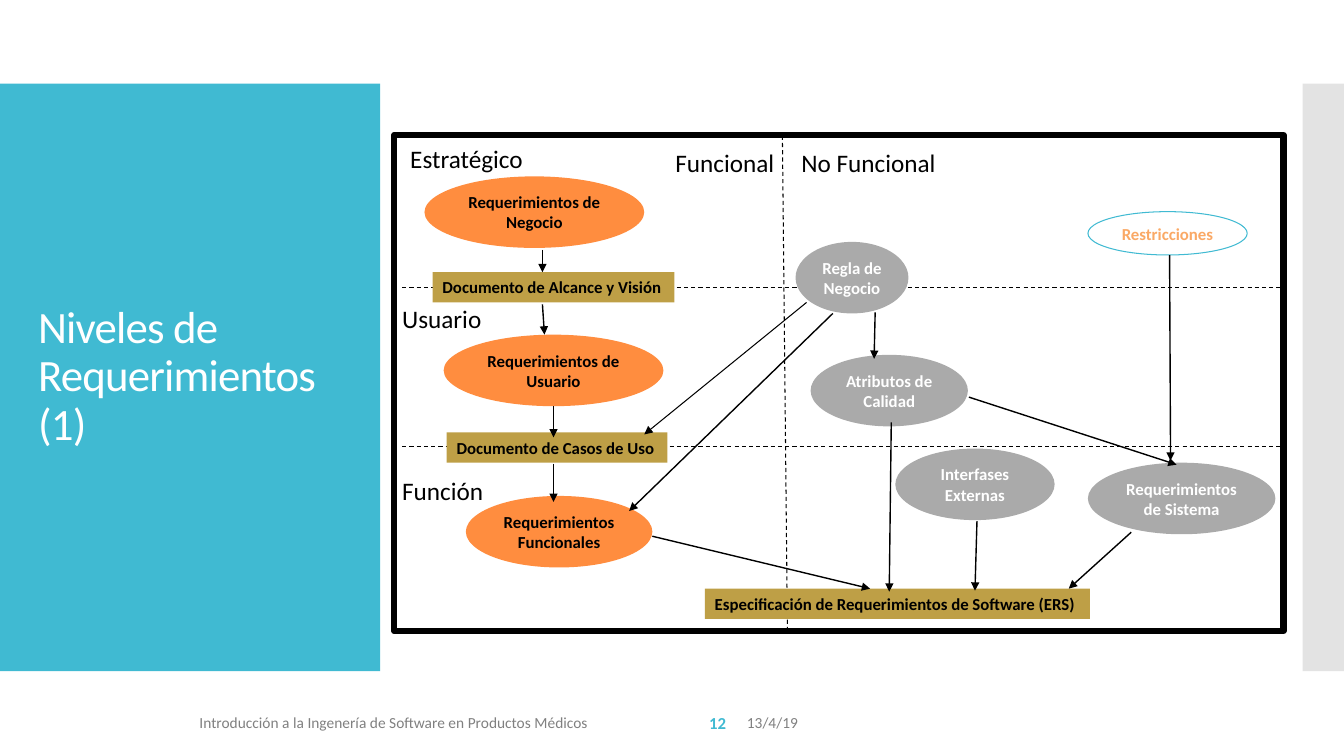
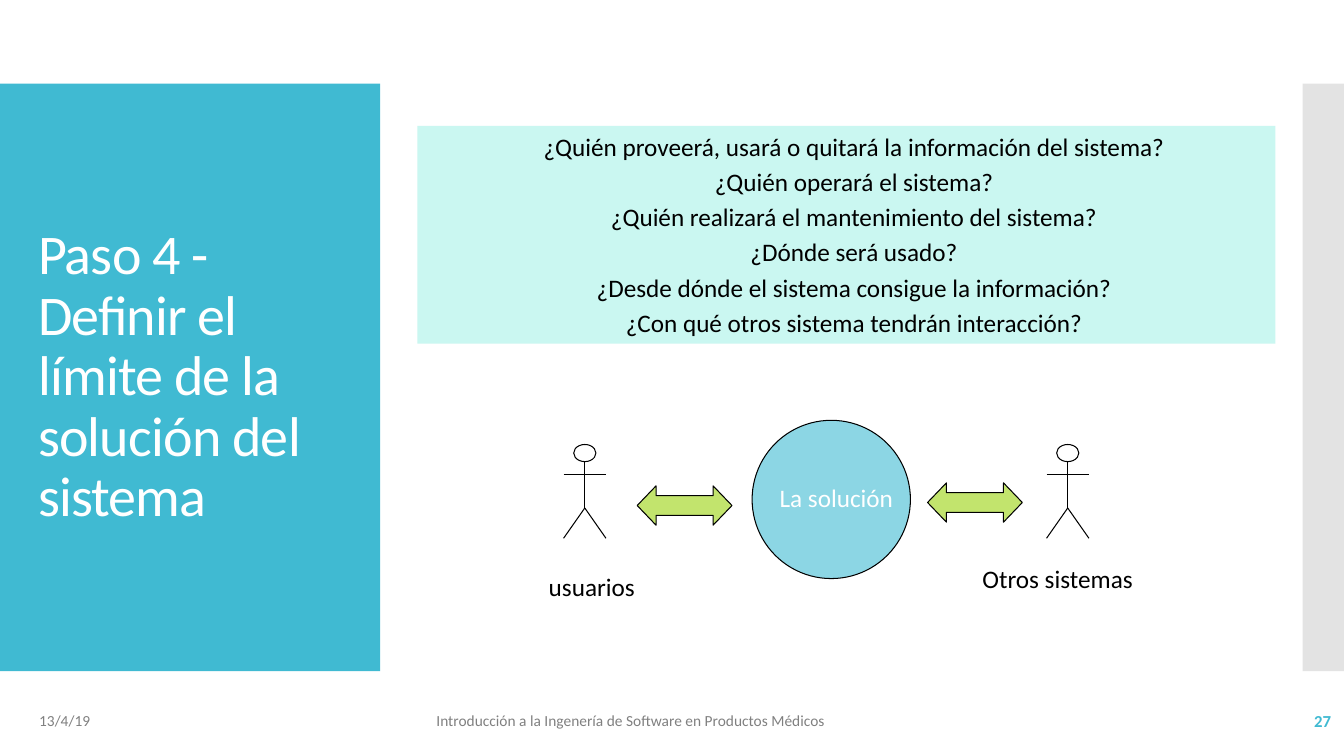
from dataclasses import dataclass, replace
from typing import Any, NamedTuple, Optional

from lxml import etree
from pptx import Presentation
from pptx import util as u
from pptx.dml.color import RGBColor
from pptx.enum import dml, shapes, text
from pptx.oxml.ns import qn

PX = 9144
TEAL = RGBColor(0x40, 0xBA, 0xD2)
SILVER = RGBColor(0xC8, 0xC8, 0xC8)
ORANGE = RGBColor(0xFF, 0x8D, 0x3F)
PEACH = RGBColor(0xFA, 0xA9, 0x66)
GRAY = RGBColor(0xAA, 0xAA, 0xAA)
GOLD = RGBColor(0xBE, 0x9F, 0x46)
MINT = RGBColor(0xCA, 0xF7, 0xF1)
SKY = RGBColor(0x8C, 0xD6, 0xE4)
LIME = RGBColor(0xC2, 0xE4, 0x6D)
FOOTER_GRAY = RGBColor(0x80, 0x80, 0x80)
BLACK = RGBColor(0, 0, 0)
WHITE = RGBColor(255, 255, 255)

RECT = shapes.MSO_SHAPE.RECTANGLE
OVAL = shapes.MSO_SHAPE.OVAL
LEFT, CENTER, RIGHT = text.PP_ALIGN.LEFT, text.PP_ALIGN.CENTER, text.PP_ALIGN.RIGHT
TOP, MIDDLE = text.MSO_ANCHOR.TOP, text.MSO_ANCHOR.MIDDLE


@dataclass(frozen=True)
class Look:
    shape: Optional[Any] = None
    fill: Optional[RGBColor] = None
    line: Optional[RGBColor] = None
    weight: float = 0.75
    size: int = 18
    color: RGBColor = BLACK
    bold: bool = False
    align: Any = LEFT
    anchor: Any = MIDDLE
    wrap: bool = False
    spacing: float = 1.0
    before: float = 0
    indent: int = 0
    tracking: int = 0


class Box(NamedTuple):
    x: int
    y: int
    w: int
    h: int
    text: str
    look: Look


class Line(NamedTuple):
    x1: int
    y1: int
    x2: int
    y2: int
    weight: float = 1
    arrow: bool = True
    dashed: bool = False


class Footer(NamedTuple):
    y: int
    date: tuple[int, int]
    course: tuple[int, int]
    number: tuple[int, int]


PANEL = Look(RECT, TEAL)
SIDE = Look(RECT, SILVER)
TITLE = Look(size=32, color=WHITE, wrap=True, spacing=0.9, tracking=-60)
FOOT = Look(size=11, color=FOOTER_GRAY, wrap=True)
NUMBER = Look(size=12, color=TEAL, bold=True, align=RIGHT, wrap=True)
NEED = Look(OVAL, ORANGE, size=12, bold=True, align=CENTER)
QUALITY = replace(NEED, fill=GRAY, color=WHITE)
QUALITY_WRAPPED = replace(QUALITY, wrap=True)
LIMIT = replace(QUALITY_WRAPPED, fill=None, line=TEAL, color=PEACH)
DOCUMENT = Look(RECT, GOLD, size=12, bold=True)
HEADING = Look()
LEVEL = Look(anchor=TOP)
FRAME = Look(RECT, line=BLACK, weight=4.5)
QUESTIONS = Look(RECT, MINT, align=CENTER, anchor=TOP, wrap=True, before=3.6, indent=15)
SOLUTION = Look(OVAL, SKY, BLACK)
SOLUTION_NAME = Look(color=WHITE, align=CENTER, anchor=TOP, wrap=True)
CAPTION = Look(align=CENTER, anchor=TOP, wrap=True)
HEAD = Look(OVAL, line=BLACK)
EXCHANGE = Look(shapes.MSO_SHAPE.LEFT_RIGHT_ARROW, LIME, BLACK)

DIVIDERS = [
    Line(399, 285, 1273, 285, 0.75, False, True),
    Line(399, 443, 1273, 443, 0.75, False, True),
    Line(781, 626, 776, 134, 0.75, False, True),
]
NODES = [
    Box(421, 175, 218, 71, "Requerimientos de\nNegocio", NEED),
    Box(440, 332, 218, 71, "Requerimientos de\nUsuario", NEED),
    Box(804, 352, 156, 71, "Atributos de\nCalidad", QUALITY),
    Box(462, 492, 185, 71, "Requerimientos\nFuncionales", NEED),
    Box(1079, 459, 186, 71, "Requerimientos\nde Sistema", QUALITY_WRAPPED),
    Box(789, 240, 112, 71, "Regla de\nNegocio", QUALITY),
    Box(888, 445, 158, 71, "Interfases Externas", QUALITY_WRAPPED),
    Box(1079, 210, 158, 43, "Restricciones", LIMIT),
    Box(429, 270, 240, 30, "Documento de Alcance y Visión", DOCUMENT),
    Box(443, 429, 219, 30, "Documento de Casos de Uso", DOCUMENT),
    Box(699, 584, 382, 30, "Especificación de Requerimientos de Software (ERS)", DOCUMENT),
    Box(660, 141, 119, 40, "Funcional", HEADING),
    Box(785, 141, 155, 40, "No Funcional", HEADING),
    Box(391, 134, 882, 492, "", FRAME),
    Box(397, 137, 139, 40, "Estratégico", LEVEL),
    Box(389, 296, 101, 40, "Usuario", LEVEL),
    Box(389, 467, 103, 40, "Función", LEVEL),
]
ARROWS = [
    Line(538, 248, 538, 270),
    Line(538, 302, 540, 332),
    Line(549, 403, 549, 434),
    Line(549, 460, 549, 498),
    Line(647, 532, 863, 584),
    Line(826, 311, 624, 507),
    Line(884, 419, 882, 587),
    Line(969, 517, 967, 586),
    Line(1122, 528, 1060, 584),
    Line(868, 310, 867, 356),
    Line(800, 300, 639, 431, 0.75),
    Line(961, 394, 1167, 461),
    Line(1160, 253, 1161, 457),
]
QUESTION_LIST = "\n".join([
    "¿Quién proveerá, usará o quitará la información del sistema?",
    "¿Quién operará el sistema?",
    "¿Quién realizará el mantenimiento del sistema?",
    "¿Dónde será usado?",
    "¿Desde dónde el sistema consigue la información?",
    "¿Con qué otros sistema tendrán interacción?",
])


def px(n: int) -> u.Emu:
    return u.Emu(n * PX)


def assign(target: Any, values: dict[str, Any]) -> None:
    for name, value in values.items():
        setattr(target, name, value)


def write(tf: Any, content: str, look: Look) -> None:
    assign(tf, {"word_wrap": look.wrap, "vertical_anchor": look.anchor})
    for i, words in enumerate(content.split("\n")):
        p = tf.add_paragraph() if i else tf.paragraphs[0]
        assign(p, {"alignment": look.align, "line_spacing": look.spacing,
                   "space_before": u.Pt(look.before if i else 0)})
        if look.indent:
            p._p.get_or_add_pPr().set("marL", str(px(look.indent)))
        r = p.add_run()
        r.text = words
        assign(r.font, {"name": "Calibri", "size": u.Pt(look.size), "bold": look.bold})
        r.font.color.rgb = look.color
        if look.tracking:
            r._r.get_or_add_rPr().set("spc", str(look.tracking))


def draw_box(s: Any, box: Box) -> Any:
    look = box.look
    at = [px(n) for n in box[:4]]
    if look.shape is None:
        sp = s.shapes.add_textbox(*at)
    else:
        sp = s.shapes.add_shape(look.shape, *at)
        sp.shadow.inherit = False
        if look.fill is None:
            sp.fill.background()
        else:
            sp.fill.solid()
            sp.fill.fore_color.rgb = look.fill
        if look.line is None:
            sp.line.fill.background()
        else:
            sp.line.color.rgb = look.line
            sp.line.width = u.Pt(look.weight)
    if box.text:
        write(sp.text_frame, box.text, look)
    return sp


def draw_line(s: Any, line: Line) -> None:
    cn = s.shapes.add_connector(shapes.MSO_CONNECTOR.STRAIGHT, *[px(n) for n in line[:4]])
    cn.line.color.rgb = BLACK
    cn.line.width = u.Pt(line.weight)
    if line.dashed:
        cn.line.dash_style = dml.MSO_LINE.DASH
    if line.arrow:
        etree.SubElement(cn.line._get_or_add_ln(), qn("a:tailEnd"), type="triangle")
    etree.SubElement(cn._element.spPr, qn("a:effectLst"))


def draw_person(s: Any, x: int) -> None:
    person = s.shapes.add_group_shape()
    draw_box(person, Box(x - 11, 441, 22, 17, "", HEAD))
    for limb in [(x, 458, x, 504), (x - 21, 471, x + 21, 471),
                 (x, 504, x + 21, 534), (x, 504, x - 21, 534)]:
        draw_line(person, Line(*limb, weight=0.75, arrow=False))


def add_slide(prs: Any, title: Box, number: int, footer: Footer) -> Any:
    s = prs.slides.add_slide(prs.slide_layouts[6])
    draw_box(s, Box(0, 83, 377, 583, "", PANEL))
    side = draw_box(s, Box(1292, 83, 41, 583, "", SIDE))
    tint = side._element.spPr.find(".//" + qn("a:srgbClr"))
    etree.SubElement(tint, qn("a:alpha"), val="50000")
    draw_box(s, title)
    course = "Introducción a la Ingenería de Software en Productos Médicos"
    for (x, w), words, look in [(footer.date, "13/4/19", FOOT),
                                (footer.course, course, FOOT),
                                (footer.number, str(number), NUMBER)]:
        draw_box(s, Box(x, footer.y, w, 40, words, look))
    return s


def build_levels(prs: Any) -> None:
    s = add_slide(prs, Box(28, 123, 335, 503, "Niveles de Requerimientos (1)", TITLE), 12,
                  Footer(697, (731, 414), (188, 414), (603, 127)))
    for divider in DIVIDERS:
        draw_line(s, divider)
    for node in NODES:
        draw_box(s, node)
    for arrow in ARROWS:
        draw_line(s, arrow)


def build_boundary(prs: Any) -> None:
    title = "Paso 4 - Definir el límite de la solución del sistema"
    s = add_slide(prs, Box(28, 123, 322, 503, title, replace(TITLE, size=40)), 27,
                  Footer(695, (29, 300), (423, 646), (1163, 167)))
    for box in [
        Box(414, 125, 851, 216, QUESTION_LIST, QUESTIONS),
        Box(746, 417, 157, 157, "", SOLUTION),
        Box(762, 474, 135, 31, "La solución", SOLUTION_NAME),
        Box(527, 562, 120, 31, "usuarios", CAPTION),
        Box(954, 554, 190, 31, "Otros sistemas", CAPTION),
    ]:
        draw_box(s, box)
    for x in (580, 1059):
        draw_person(s, x)
    for x, y in ((632, 482), (920, 479)):
        sp = draw_box(s, Box(x, y, 94, 39, "", EXCHANGE))
        sp.adjustments[0] = 0.5
        sp.adjustments[1] = 0.48


def main() -> None:
    prs = Presentation()
    assign(prs, {"slide_width": px(1333), "slide_height": px(750)})
    build_levels(prs)
    build_boundary(prs)
    prs.save("out.pptx")


if __name__ == "__main__":
    main()
